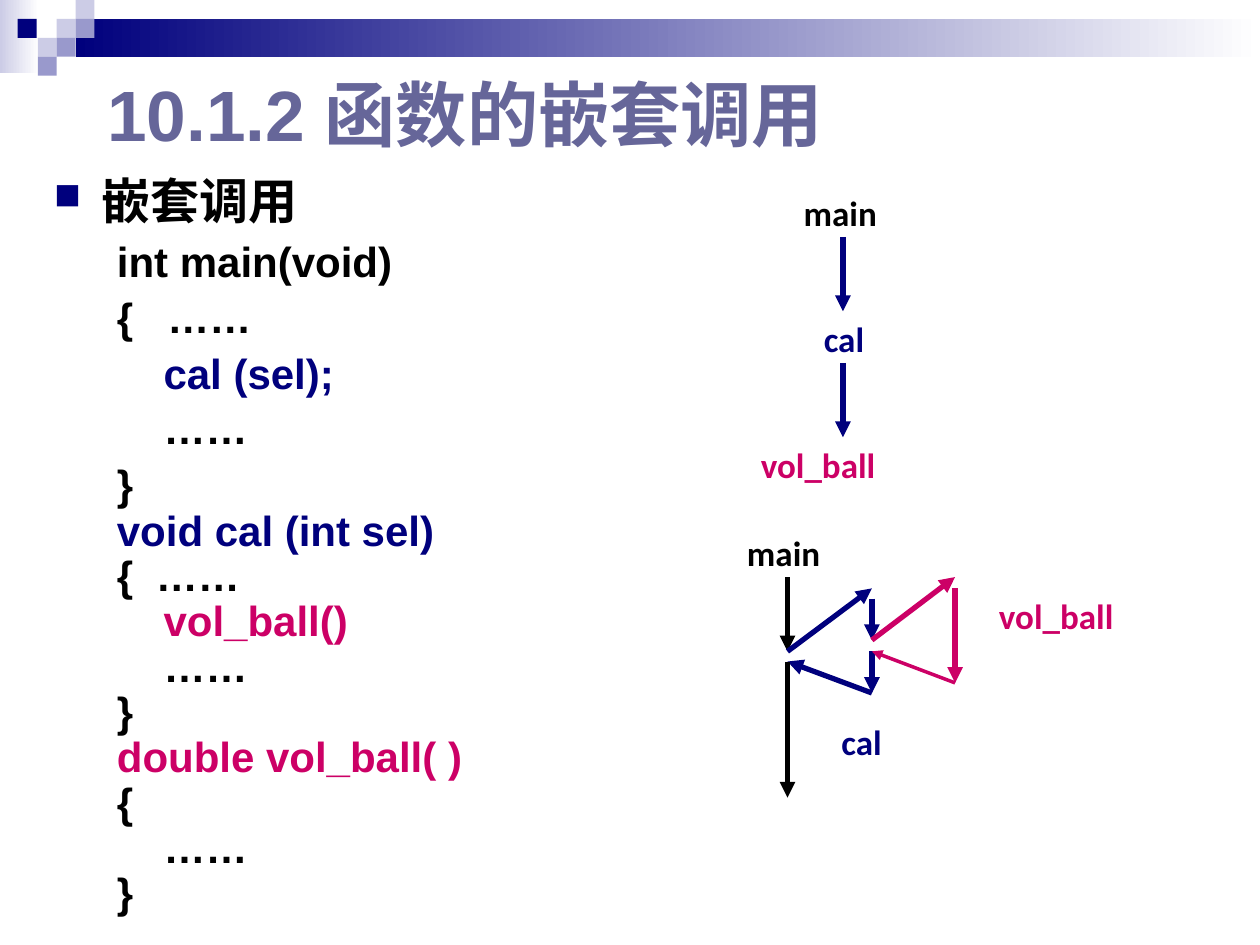
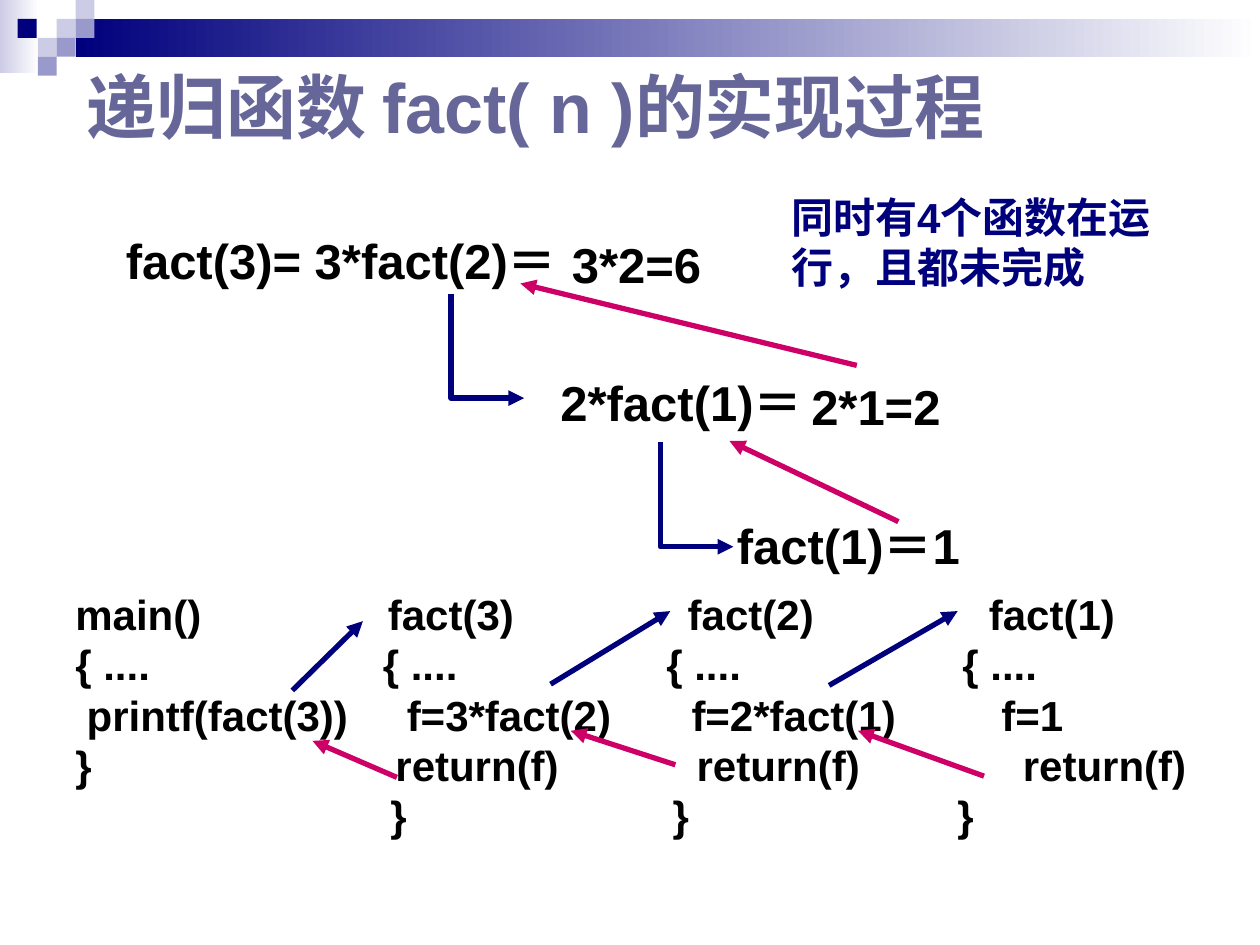
from dataclasses import dataclass

from lxml import etree
from pptx import Presentation
from pptx import util as u
from pptx.dml.color import RGBColor
from pptx.enum import shapes, text
from pptx.oxml.ns import qn


@dataclass(frozen=True)
class Theme:
    navy: str = "00007D"
    pink: str = "CC0066"
    black: str = "000000"
    title: str = "666699"
    pale: str = "CCCCE6"
    mid: str = "9999CC"
    white: str = "FFFFFF"
    font: str = "Arial"
    label_font: str = "Calibri"
    title_size: float = 40
    body_size: float = 28
    code_size: float = 24
    label_size: float = 20
    line: float = 3


T = Theme()


def style(p, size, color, font=T.font):
    for r in p.runs:
        r.font.size = u.Pt(size)
        r.font.name = font
        r.font.bold = True
        r.font.color.rgb = RGBColor.from_string(color)


def indent(p, margin, hanging=0):
    pPr = p._p.get_or_add_pPr()
    pPr.set("marL", str(u.Inches(margin)))
    pPr.set("indent", str(-u.Inches(hanging)))
    return pPr


def add_bullet(p):
    pPr = indent(p, 0.38, 0.38)
    color = etree.SubElement(pPr, qn("a:buClr"))
    etree.SubElement(color, qn("a:srgbClr"), val=T.navy)
    etree.SubElement(pPr, qn("a:buSzPct"), val="75000")
    etree.SubElement(pPr, qn("a:buChar"), char="■")


def add_text(slide, box, content, size, color=T.black, font=T.font):
    sp = slide.shapes.add_textbox(*map(u.Inches, box))
    tf = sp.text_frame
    tf.word_wrap = True
    tf.text = content
    for p in tf.paragraphs:
        style(p, size, color, font)
    return tf


def add_label(slide, left, top, width, content, color):
    add_text(slide, (left, top, width, 0.44), content, T.label_size, color, T.label_font)


def add_title(slide, box, content, size=T.title_size):
    sp = slide.shapes.title
    sp.left, sp.top, sp.width, sp.height = map(u.Inches, box)
    tf = sp.text_frame
    tf.text = content
    tf.word_wrap = True
    tf.auto_size = text.MSO_AUTO_SIZE.NONE
    tf.vertical_anchor = text.MSO_ANCHOR.MIDDLE
    p = tf.paragraphs[0]
    p.alignment = text.PP_ALIGN.LEFT
    style(p, size, T.title)


def format_line(sp, color, width=T.line):
    sp.line.color.rgb = RGBColor.from_string(color)
    sp.line.width = u.Pt(width)
    etree.SubElement(sp.line._get_or_add_ln(), qn("a:tailEnd"), type="triangle")


def add_arrow(slide, start, end, color, width=T.line):
    cx = slide.shapes.add_connector(shapes.MSO_CONNECTOR.STRAIGHT, *map(u.Inches, start + end))
    format_line(cx, color, width)
    etree.SubElement(cx._element.spPr, qn("a:effectLst"))


def add_elbow(slide, left, top, width=0.58, height=0.83):
    bottom = u.Inches(top + height)
    builder = slide.shapes.build_freeform(u.Inches(left), u.Inches(top))
    builder.add_line_segments(
        [(u.Inches(left), bottom), (u.Inches(left + width), bottom)], close=False)
    sp = builder.convert_to_shape()
    sp.shadow.inherit = False
    sp.fill.background()
    format_line(sp, T.navy)


def add_block(slide, box, *colors):
    sp = slide.shapes.add_shape(shapes.MSO_SHAPE.RECTANGLE, *map(u.Inches, box))
    sp.shadow.inherit = False
    sp.line.fill.background()
    if len(colors) == 1:
        sp.fill.solid()
        sp.fill.fore_color.rgb = RGBColor.from_string(colors[0])
    else:
        sp.fill.gradient()
        sp.fill.gradient_angle = 0
        for stop, color in zip(sp.fill.gradient_stops, colors):
            stop.color.rgb = RGBColor.from_string(color)
    return sp


def add_band(layout, slide):
    side = 0.15
    squares = [(0.45, 0.15, T.pale), (0.6, 0, T.pale), (0.6, 0.15, T.mid),
               (0.3, 0.3, T.pale), (0.14, 0.15, T.navy), (0.45, 0.3, T.mid),
               (0.3, 0.45, T.mid)]
    blocks = [add_block(slide, (0, 0, 0.31, 0.58), T.pale, T.white),
              add_block(slide, (0.6, 0.15, 9.4, 0.3), T.navy, T.white)]
    blocks += [add_block(slide, (x, y, side, side), color) for x, y, color in squares]
    for sp in blocks:
        layout.element.cSld.spTree.append(sp.element)


def add_nested_code(slide):
    base, inner = 0.5, 0.87
    lines = [("int main(void)", base, 0, T.black),
             ("{\t……", 0.9, 0.4, T.black),
             ("cal (sel);", inner, 0, T.navy),
             ("……", inner, 0, T.black),
             ("}", base, 0, T.black),
             ("void cal (int sel)", base, 0, T.navy),
             ("{\t……", 0.81, 0.31, T.black),
             ("vol_ball()", inner, 0, T.pink),
             ("……", inner, 0, T.black),
             ("}", base, 0, T.black),
             ("double vol_ball( )", base, 0, T.pink),
             ("{", base, 0, T.black),
             ("……", inner, 0, T.black),
             ("}", base, 0, T.black)]
    main_length = 5
    tf = add_text(slide, (0.33, 1.36, 4.04, 6.02), "嵌套调用", T.body_size)
    head = tf.paragraphs[0]
    head.line_spacing = 0.9
    head.space_before = u.Pt(7)
    add_bullet(head)
    for i, (content, margin, hanging, color) in enumerate(lines):
        p = tf.add_paragraph()
        p.text = content
        p.line_spacing = 0.9
        p.space_before = u.Pt(6 if i < main_length else 0)
        indent(p, margin, hanging)
        style(p, T.code_size, color)


def add_call_chain(slide):
    add_label(slide, 6.28, 1.47, 1.08, "main", T.black)
    add_label(slide, 6.44, 2.47, 0.67, "cal", T.navy)
    add_label(slide, 5.94, 3.47, 1.42, "vol_ball", T.pink)
    for top in (1.88, 2.88):
        add_arrow(slide, (6.69, top), (6.69, top + 0.59), T.navy)


def add_call_flow(slide):
    main_x, cal_x, ball_x = 6.25, 6.92, 7.58
    add_label(slide, 5.83, 4.17, 1.08, "main", T.black)
    add_label(slide, 6.58, 5.67, 0.67, "cal", T.navy)
    add_label(slide, 7.83, 4.67, 1.5, "vol_ball", T.pink)
    steps = [((main_x, 4.58), (main_x, 5.17), T.black),
             ((main_x, 5.17), (cal_x, 4.67), T.navy),
             ((cal_x, 4.75), (cal_x, 5.08), T.navy),
             ((cal_x, 5.08), (ball_x, 4.58), T.pink),
             ((ball_x, 4.67), (ball_x, 5.42), T.pink),
             ((cal_x, 5.17), (cal_x, 5.5), T.navy),
             ((cal_x, 5.5), (main_x, 5.25), T.navy),
             ((main_x, 5.25), (main_x, 6.33), T.black)]
    for start, end, color in steps:
        add_arrow(slide, start, end, color)
    add_arrow(slide, (ball_x, 5.42), (cal_x, 5.17), T.pink, 2)


def add_expansion(slide):
    terms = [(0.9, "fact(3)= 3*fact(2)＝"), (4.35, "2*fact(1)＝"), (5.75, "fact(1)＝1")]
    for i, (left, content) in enumerate(terms):
        add_text(slide, (left, 1.78 + 1.13 * i, 4.1, 0.57), content, T.body_size)
    add_elbow(slide, 3.58, 2.33)
    add_elbow(slide, 5.24, 3.51)
    add_arrow(slide, (7.13, 4.14), (5.79, 3.5), T.pink)
    add_arrow(slide, (6.8, 2.9), (4.13, 2.25), T.pink)
    add_text(slide, (6.34, 2.94, 1.58, 0.57), "2*1=2", T.body_size)
    add_text(slide, (4.44, 1.81, 1.42, 0.57), "3*2=6", T.body_size)
    add_text(slide, (6.18, 1.47, 3.11, 0.9), "同时有4个函数在运行，且都未完成",
             T.code_size, T.navy)


def add_call_columns(slide):
    columns = [
        (0.5, ["main()", "{ ....", "printf(fact(3))", "}"], [0, 0, 0.09, 0]),
        (2.94, ["fact(3)", "{ ....", "f=3*fact(2)", "return(f)", "}"],
         [0.04, 0, 0.19, 0.1, 0.06]),
        (5.19, ["fact(2)", "{ ....", "f=2*fact(1)", "return(f)", "}"],
         [0.17, 0, 0.2, 0.24, 0.05]),
        (7.5, ["fact(1)", "{ ....", "f=1", "return(f)", "}"],
         [0.25, 0.04, 0.35, 0.52, 0])]
    for left, lines, margins in columns:
        tf = add_text(slide, (left, 4.62, 2.5, 2.1), "\n".join(lines), T.code_size)
        for p, margin in zip(tf.paragraphs, margins):
            p.line_spacing = u.Pt(28.8)
            indent(p, margin)
    calls = [((2.32, 5.48), (2.88, 4.93)), ((4.37, 5.43), (5.32, 4.85)),
             ((6.58, 5.44), (7.6, 4.85))]
    returns = [((7.81, 6.16), (6.81, 5.8)), ((5.36, 6.07), (4.53, 5.8)),
               ((3.15, 6.17), (2.48, 5.88))]
    for color, arrows in ((T.navy, calls), (T.pink, returns)):
        for start, end in arrows:
            add_arrow(slide, start, end, color)


def main():
    prs = Presentation()
    prs.slide_width, prs.slide_height = u.Inches(10), u.Inches(7.5)
    layout = prs.slide_layouts[5]

    nested = prs.slides.add_slide(layout)
    add_band(layout, nested)
    add_title(nested, (0.75, 0.48, 6.75, 0.83), "10.1.2 函数的嵌套调用", 40.7)
    add_nested_code(nested)
    add_call_flow(nested)
    add_call_chain(nested)

    recursion = prs.slides.add_slide(layout)
    add_title(recursion, (0.59, 0.44, 8.74, 0.79), "递归函数 fact( n )的实现过程")
    add_call_columns(recursion)
    add_expansion(recursion)

    prs.save("out.pptx")


if __name__ == "__main__":
    main()
